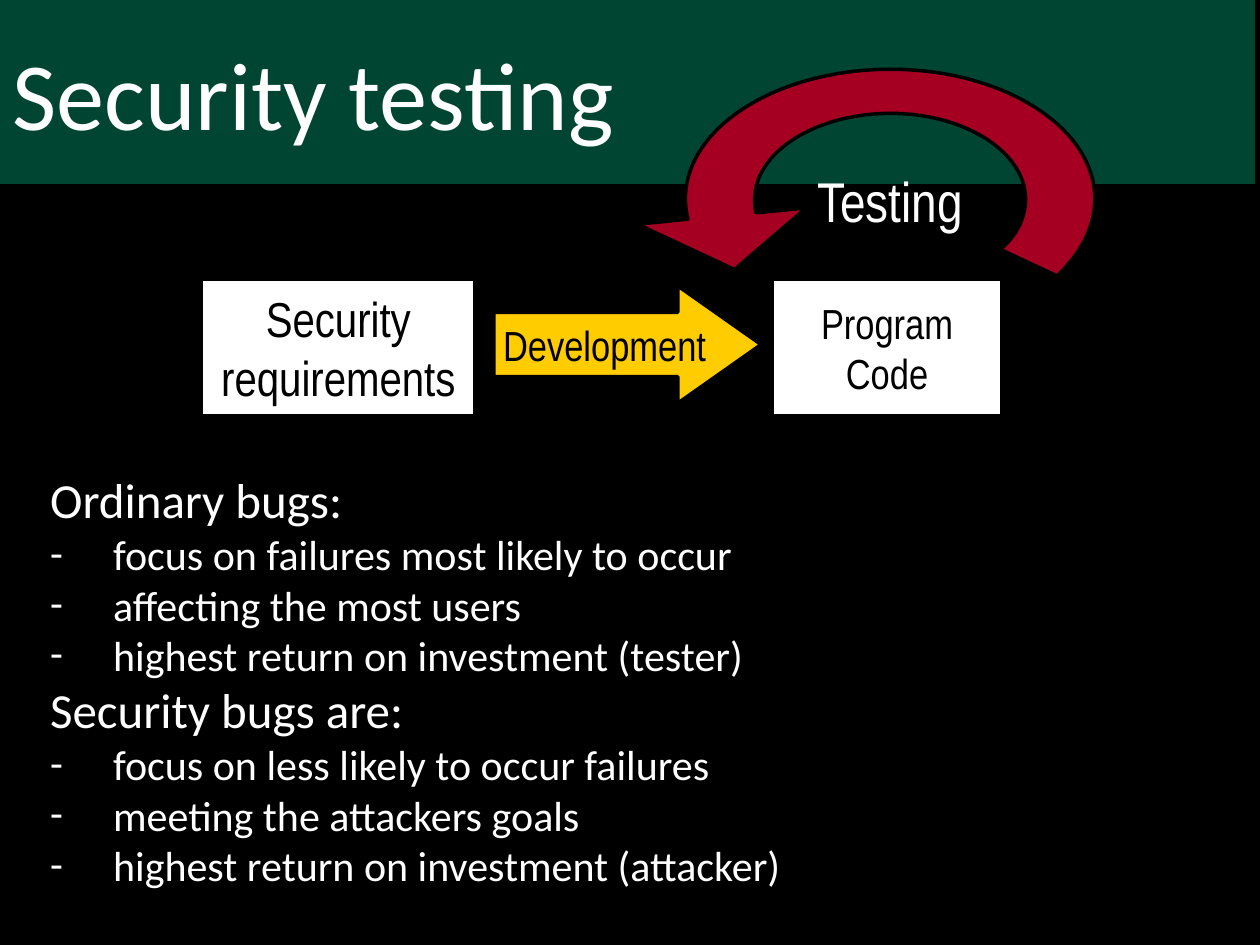
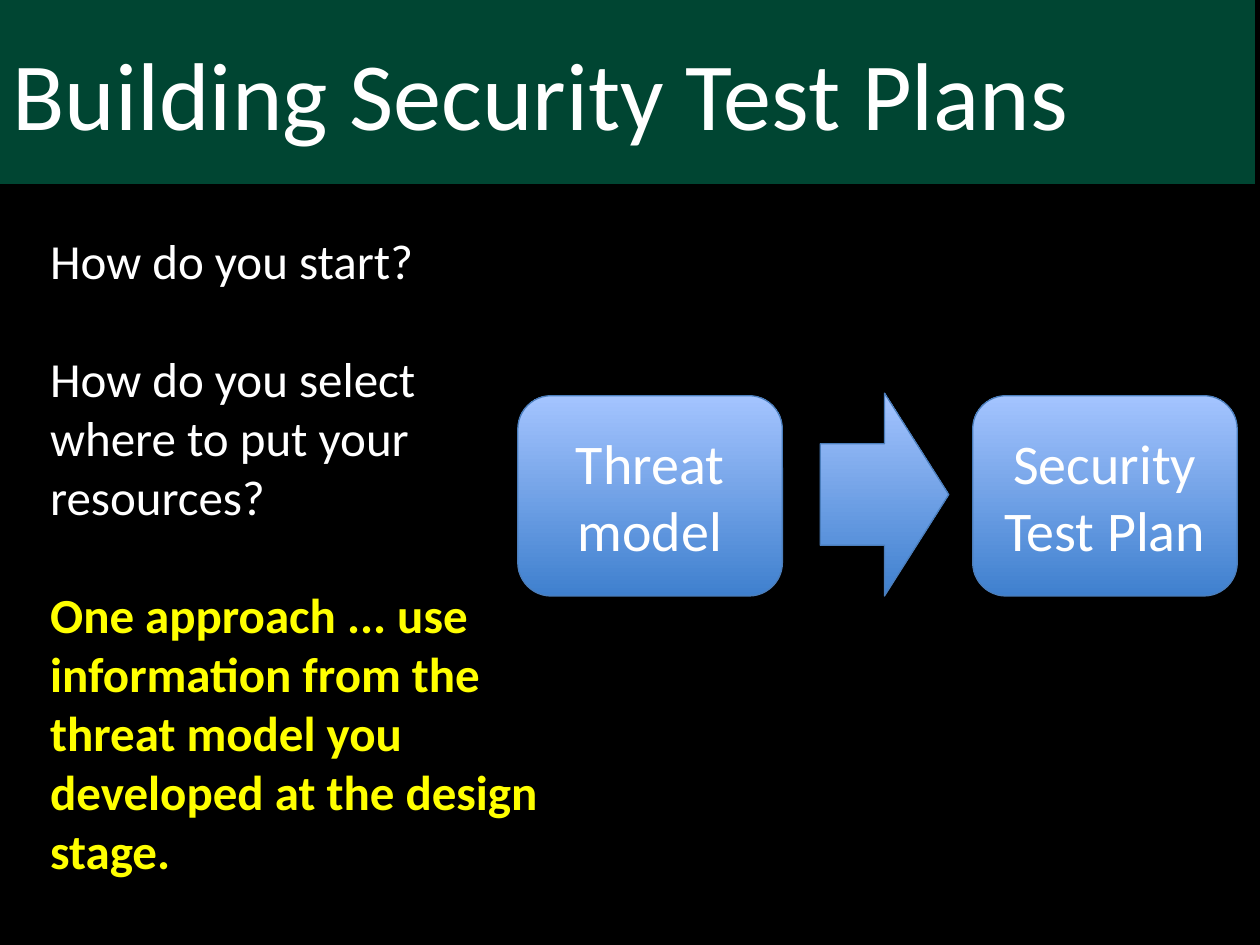
from dataclasses import dataclass

from lxml.etree import SubElement
from pptx import Presentation
from pptx.dml.color import RGBColor
from pptx.enum.shapes import MSO_SHAPE
from pptx.enum.text import MSO_ANCHOR, MSO_AUTO_SIZE, PP_ALIGN
from pptx.oxml.ns import qn
from pptx.util import Inches, Pt

COLORS = {
    "background": "000000",
    "band": "004532",
    "light": "FFFFFF",
    "dark": "000000",
    "highlight": "FFFF00",
    "development": "FFCC00",
    "testing": "A50021",
    "flow_bottom": "3F80CE",
    "flow_top": "A4C4FF",
    "flow_line": "4B7EBC",
}
BODY_FONT = "Calibri"
DIAGRAM_FONT = "Arial Narrow"
TITLE_ONLY = 5

LOOP_START = (6, 1.69)
LOOP_SEGMENTS = (
    ((5.99, 1.65), (5.99, 1.62), (5.99, 1.58)),
    ((5.99, 1.21), (6.47, 0.9), (7.07, 0.9)),
    ((7.66, 0.9), (8.14, 1.21), (8.14, 1.58)),
    ((8.14, 1.73), (8.07, 1.87), (7.94, 1.98)),
    ((8.39, 2.19),),
    ((8.58, 2.01), (8.69, 1.8), (8.69, 1.58)),
    ((8.69, 1.01), (7.96, 0.55), (7.07, 0.55)),
    ((6.17, 0.55), (5.44, 1.01), (5.44, 1.58)),
    ((5.44, 1.64), (5.45, 1.69), (5.46, 1.74)),
    ((5.06, 1.78),),
    ((5.83, 2.14),),
    ((6.4, 1.65),),
)


@dataclass(frozen=True)
class BodyLine:
    text: str
    size: int = 28
    dashed: bool = False
    color: str = "light"
    bold: bool = False
    space_before: int = 0


@dataclass(frozen=True)
class Step:
    left: float
    top: float
    width: float
    height: float
    preset: MSO_SHAPE
    paragraphs: tuple[tuple[str, ...], ...] = ()
    size: int = 24
    fill: str = "light"
    adjustments: tuple[float, ...] = ()


def rgb(name: str) -> RGBColor:
    return RGBColor.from_string(COLORS[name])


def style(paragraph, font: str, size: int, color: str, bold: bool = False) -> None:
    paragraph.font.name = font
    paragraph.font.size = Pt(size)
    paragraph.font.color.rgb = rgb(color)
    paragraph.font.bold = bold


def outline(shape, color: str, width: float) -> None:
    shape.shadow.inherit = False
    shape.line.color.rgb = rgb(color)
    shape.line.width = Pt(width)


def add_titled_slide(prs, heading: str):
    slide = prs.slides.add_slide(prs.slide_layouts[TITLE_ONLY])
    title = slide.shapes.title
    title.left, title.top = Inches(0), Inches(0)
    title.width, title.height = Inches(9.96), Inches(1.46)
    title.fill.solid()
    title.fill.fore_color.rgb = rgb("band")
    frame = title.text_frame
    frame.text = heading
    frame.word_wrap = True
    frame.auto_size = MSO_AUTO_SIZE.NONE
    frame.vertical_anchor = MSO_ANCHOR.MIDDLE
    frame.margin_left = frame.margin_right = Inches(0.1)
    frame.margin_top = frame.margin_bottom = Inches(0.12)
    frame.paragraphs[0].alignment = PP_ALIGN.LEFT
    style(frame.paragraphs[0], BODY_FONT, 55, "light")
    return slide


def add_dash(paragraph) -> None:
    properties = paragraph._p.get_or_add_pPr()
    properties.set("marL", str(Inches(0.5)))
    properties.set("indent", str(Inches(-0.5)))
    SubElement(properties, qn("a:buFont")).set("typeface", BODY_FONT)
    SubElement(properties, qn("a:buChar")).set("char", "-")


def add_body(slide, top: float, width: float, height: float, lines: list[BodyLine]) -> None:
    body = slide.shapes.add_textbox(Inches(0.3), Inches(top), Inches(width), Inches(height))
    frame = body.text_frame
    frame.word_wrap = True
    for index, line in enumerate(lines):
        paragraph = frame.add_paragraph() if index else frame.paragraphs[0]
        paragraph.text = line.text
        if line.space_before:
            paragraph.space_before = Pt(line.space_before)
        if line.dashed:
            add_dash(paragraph)
        style(paragraph, BODY_FONT, line.size, line.color, line.bold)


def label(shape, paragraphs: tuple[tuple[str, ...], ...], font: str, size: int,
          color: str, wrap: bool) -> None:
    frame = shape.text_frame
    frame.word_wrap = wrap
    frame.vertical_anchor = MSO_ANCHOR.MIDDLE
    for index, lines in enumerate(paragraphs):
        paragraph = frame.add_paragraph() if index else frame.paragraphs[0]
        for position, line in enumerate(lines):
            if position:
                paragraph.add_line_break()
            paragraph.add_run().text = line
        paragraph.alignment = PP_ALIGN.CENTER
        style(paragraph, font, size, color)


def add_step(slide, step: Step):
    shape = slide.shapes.add_shape(
        step.preset, Inches(step.left), Inches(step.top), Inches(step.width), Inches(step.height)
    )
    for index, value in enumerate(step.adjustments):
        shape.adjustments[index] = value
    return shape


def add_flat_step(slide, step: Step) -> None:
    shape = add_step(slide, step)
    shape.fill.solid()
    shape.fill.fore_color.rgb = rgb(step.fill)
    outline(shape, "dark", 2)
    label(shape, step.paragraphs, DIAGRAM_FONT, step.size, "dark", wrap=False)


def add_gradient_step(slide, step: Step) -> None:
    shape = add_step(slide, step)
    shape.fill.gradient()
    shape.fill.gradient_angle = 90
    for stop, color in zip(shape.fill.gradient_stops, ("flow_bottom", "flow_top")):
        stop.color.rgb = rgb(color)
    outline(shape, "flow_line", 0.75)
    if step.paragraphs:
        label(shape, step.paragraphs, BODY_FONT, step.size, "light", wrap=True)


def bend_segments(loop) -> None:
    straight_lines = list(loop._element.iter(qn("a:lnTo")))
    for line, points in zip(straight_lines, LOOP_SEGMENTS):
        if len(points) == 1:
            continue
        curve = line.makeelement(qn("a:cubicBezTo"))
        for x, y in points:
            point = SubElement(curve, qn("a:pt"))
            point.set("x", str(Inches(x) - loop.left))
            point.set("y", str(Inches(y) - loop.top))
        line.getparent().replace(line, curve)


def add_testing_loop(slide) -> None:
    corners = [(Inches(x), Inches(y)) for x, y in (points[-1] for points in LOOP_SEGMENTS)]
    start_x, start_y = LOOP_START
    builder = slide.shapes.build_freeform(Inches(start_x), Inches(start_y), scale=1.0)
    builder.add_line_segments(corners, close=True)
    loop = builder.convert_to_shape()
    bend_segments(loop)
    loop.fill.solid()
    loop.fill.fore_color.rgb = rgb("testing")
    outline(loop, "dark", 2)
    label(loop, (("Testing",),), DIAGRAM_FONT, 32, "light", wrap=False)
    loop.text_frame.margin_left = loop.text_frame.margin_top = Inches(0.48)


def build_security_testing(prs) -> None:
    slide = add_titled_slide(prs, "Security testing")
    bug_focus = {
        "Ordinary bugs:": (
            "focus on failures most likely to occur",
            "affecting the most users",
            "highest return on investment (tester)",
        ),
        "Security bugs are:": (
            "focus on less likely to occur failures",
            "meeting the attackers goals",
            "highest return on investment (attacker)",
        ),
    }
    lines = []
    for heading, points in bug_focus.items():
        lines.append(BodyLine(heading))
        lines += [BodyLine(point, size=24, dashed=True) for point in points]
    add_body(slide, 3.68, 9.37, 3.5, lines)

    for step in (
        Step(1.6, 2.22, 2.17, 1.08, MSO_SHAPE.RECTANGLE, (("Security", "requirements"),), 28),
        Step(6.13, 2.22, 1.82, 1.08, MSO_SHAPE.RECTANGLE, (("Program",), ("Code",))),
        Step(3.92, 2.27, 2.12, 0.93, MSO_SHAPE.RIGHT_ARROW, (("Development",),),
             fill="development", adjustments=(0.55, 0.71)),
    ):
        add_flat_step(slide, step)
    add_testing_loop(slide)


def build_test_plans(prs) -> None:
    slide = add_titled_slide(prs, "Building Security Test Plans")
    add_body(slide, 1.78, 4.12, 5.4, [
        BodyLine("How do you start?"),
        BodyLine("How do you select where to put your resources?", space_before=34),
        BodyLine(
            "One approach ... use information from the threat model you developed at the design stage.",
            color="highlight", bold=True, space_before=34,
        ),
    ])
    rounded = MSO_SHAPE.FLOWCHART_ALTERNATE_PROCESS
    for step in (
        Step(4.11, 3.14, 2.1, 1.59, rounded, (("Threat model",),), 32),
        Step(7.72, 3.14, 2.1, 1.59, rounded, (("Security Test Plan",),), 32),
        Step(6.51, 3.12, 1.02, 1.61, MSO_SHAPE.RIGHT_ARROW),
    ):
        add_gradient_step(slide, step)


def main() -> None:
    prs = Presentation()
    prs.slide_width, prs.slide_height = Inches(10), Inches(7.5)
    backdrop = prs.slide_master.background.fill
    backdrop.solid()
    backdrop.fore_color.rgb = rgb("background")
    build_security_testing(prs)
    build_test_plans(prs)
    prs.save("out.pptx")


if __name__ == "__main__":
    main()
